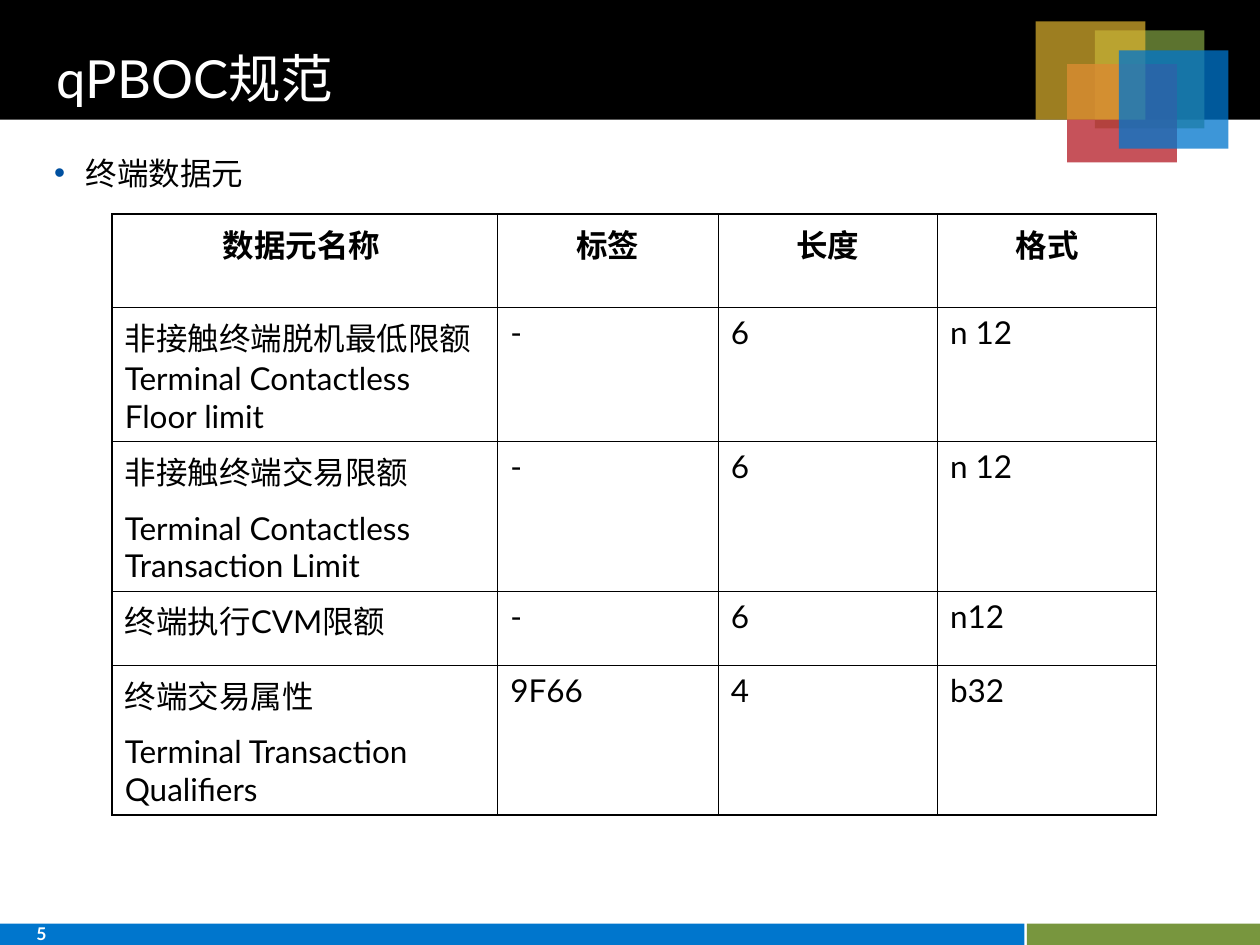
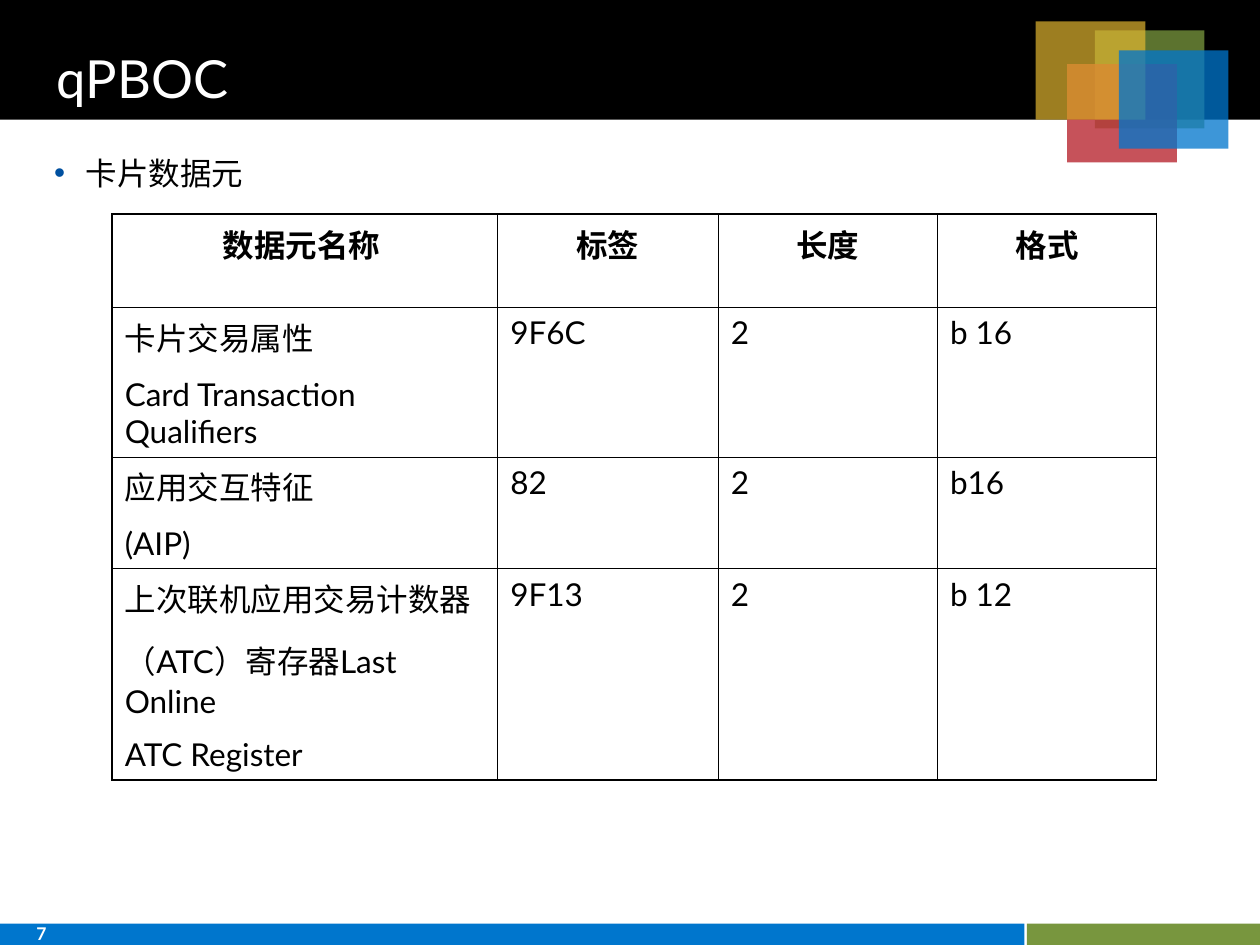
import pptx
import pptx.util
import pptx.dml.color
import pptx.enum.shapes
import pptx.enum.text
import pptx.oxml
import pptx.oxml.ns
import lxml.etree

Inches = pptx.util.Inches
Pt = pptx.util.Pt
ALIGN = pptx.enum.text.PP_ALIGN
FIT = pptx.enum.text.MSO_AUTO_SIZE
RECTANGLE = pptx.enum.shapes.MSO_SHAPE.RECTANGLE

COLOURS = {
    "black": "000000",
    "white": "FFFFFF",
    "blue": "0076CD",
    "green": "78963E",
    "red": "BA2A34",
    "gold": "E8BA31",
    "bullet": "0050A0",
}
FONT = "Lato"
TITLE_FONT = {"name": FONT, "size": Pt(30), "bold": False}
TEXT_FONT = {"name": FONT, "size": Pt(18), "bold": False}
HEADER_FONT = {**TEXT_FONT, "bold": True}
NUMBER_FONT = {"name": FONT, "size": Pt(10), "bold": True}
GAP = Pt(4.5)
THICK, THIN = 1.08, 0.45

BANDS = [
    ((0, 0, 10, 0.95), "black"),
    ((0, 7.33, 8.13, 0.17), "blue"),
    ((8.15, 7.33, 1.85, 0.17), "green"),
]
SQUARES = [
    (0.47, 0.07, "green", 77),
    (0.25, 0.34, "red", 81),
    (0, 0, "gold", 68),
    (0.66, 0.23, "blue", 76),
]
HEADINGS = ["数据元名称 ", "标签", "长度", "格式"]
COLUMN_WIDTHS = [3.06, 1.75, 1.74, 1.74]

TERMINAL_ROWS = [
    (1, ["非接触终端脱机最低限额Terminal Contactless Floor limit", "-", "6", "n 12"]),
    (1.13, ["非接触终端交易限额\nTerminal Contactless Transaction Limit", "-", "6", "n 12"]),
    (0.59, ["终端执行CVM限额", "-", "6", "n12"]),
    (1.13, ["终端交易属性\nTerminal Transaction Qualifiers", "9F66", "4", "b32"]),
]
CARD_ROWS = [
    (1.13, ["卡片交易属性\nCard Transaction Qualifiers", "9F6C", "2", "b 16"]),
    (0.83, ["应用交互特征\n(AIP)", "82", "2", "b16"]),
    (1.56, ["上次联机应用交易计数器\n（ATC）寄存器Last Online\nATC Register", "9F13", "2", "b 12"]),
]


def rgb(colour):
    return pptx.dml.color.RGBColor.from_string(COLOURS[colour])


def set_values(target, values):
    for name, value in values.items():
        setattr(target, name, value)


def place(shape, box):
    set_values(shape, dict(zip(("left", "top", "width", "height"), map(Inches, box))))


def add_child(parent, tag, **attributes):
    child = lxml.etree.SubElement(parent, pptx.oxml.ns.qn(tag))
    for name, value in attributes.items():
        child.set(name, str(value))
    return child


def style_text(para, font, colour, **layout):
    set_values(para, layout)
    for span in para.runs:
        set_values(span.font, font)
        span.font.color.rgb = rgb(colour)


def add_rectangle(shapes, box, colour, opacity=100):
    shape = shapes.add_shape(RECTANGLE, *map(Inches, box))
    shape.shadow.inherit = False
    shape.fill.solid()
    shape.fill.fore_color.rgb = rgb(colour)
    shape.line.fill.background()
    if opacity < 100:
        tint = shape.element.spPr.find(".//" + pptx.oxml.ns.qn("a:srgbClr"))
        add_child(tint, "a:alpha", val=opacity * 1000)


def add_squares(page, box):
    left, top, width, height = box
    group = page.shapes.add_group_shape()
    for across, down, colour, opacity in SQUARES:
        add_rectangle(group.shapes, (left + across, top + down, width, height), colour, opacity)


def add_page_number(page, box, number):
    text_box = page.shapes.add_textbox(*map(Inches, box))
    text_box.text_frame.word_wrap = True
    text_box.text_frame.text = str(number)
    style_text(text_box.text_frame.paragraphs[0], NUMBER_FONT, "white")


def add_frame(page, number):
    for box, colour in BANDS:
        add_rectangle(page.shapes, box, colour)
    add_squares(page, (8.22, 0.17, 0.87, 0.78))
    add_page_number(page, (0.19, 7.28, 0.83, 0.3), number)


def fill_placeholder(page, holder, box, text, **frame_values):
    page.shapes.element.append(holder.element)
    place(holder, box)
    holder.text_frame.text = text
    set_values(holder.text_frame, frame_values)
    return holder.text_frame.paragraphs[0]


def add_title(page, box, text):
    para = fill_placeholder(
        page, page.shapes.title, box, text,
        vertical_anchor=pptx.enum.text.MSO_ANCHOR.BOTTOM,
        auto_size=FIT.SHAPE_TO_FIT_TEXT,
    )
    style_text(para, TITLE_FONT, "white", alignment=ALIGN.LEFT, line_spacing=0.95)


def add_topic(page, box, text):
    para = fill_placeholder(page, page.placeholders[1], box, text, auto_size=FIT.NONE)
    properties = para._p.get_or_add_pPr()
    properties.set("marL", str(Inches(0.25)))
    properties.set("indent", str(-Inches(0.25)))
    add_child(add_child(properties, "a:buClr"), "a:srgbClr", val=COLOURS["bullet"])
    add_child(properties, "a:buChar", char="•")
    style_text(para, TEXT_FONT, "black", space_before=Pt(0), space_after=GAP)


def set_borders(cell, widths):
    properties = cell._tc.get_or_add_tcPr()
    for index, (side, width) in enumerate(widths.items()):
        line = add_child(properties, "a:ln" + side, w=Pt(width))
        add_child(add_child(line, "a:solidFill"), "a:srgbClr", val=COLOURS["black"])
        properties.insert(index, line)


def fill_cell(cell, text, font, alignment):
    cell.fill.background()
    cell.text_frame.text = text
    for index, para in enumerate(cell.text_frame.paragraphs):
        style_text(
            para, font, "black", alignment=alignment,
            space_before=GAP if index else Pt(0), space_after=GAP,
        )


def add_data_table(page, left, top, body_rows):
    rows = [(0.74, HEADINGS), *body_rows]
    size = (sum(COLUMN_WIDTHS), sum(height for height, texts in rows))
    box = map(Inches, (left, top, *size))
    table = page.shapes.add_table(len(rows), len(HEADINGS), *box).table
    set_values(table, {"first_row": False, "horz_banding": False})
    for column, width in zip(table.columns, COLUMN_WIDTHS):
        column.width = Inches(width)
    last_row, last_column = len(rows) - 1, len(HEADINGS) - 1
    for row, (height, texts) in enumerate(rows):
        table.rows[row].height = Inches(height)
        font, alignment = (TEXT_FONT, ALIGN.LEFT) if row else (HEADER_FONT, ALIGN.CENTER)
        for column, text in enumerate(texts):
            cell = table.cell(row, column)
            fill_cell(cell, text, font, alignment)
            outer = {
                "L": column == 0,
                "R": column == last_column,
                "T": row == 0,
                "B": row == last_row,
            }
            set_borders(cell, {side: THICK if edge else THIN for side, edge in outer.items()})


def add_data_page(deck, number, title, topic, rows):
    page = deck.slides.add_slide(deck.slide_layouts[1])
    add_frame(page, number)
    add_title(page, (0.35, 0.35, 7.86, 0.58), title)
    add_topic(page, (0.33, 1.17, 4.37, 0.83), topic)
    add_data_table(page, 0.89, 1.7, rows)


def main():
    deck = pptx.Presentation()
    set_values(deck, {"slide_width": Inches(10), "slide_height": Inches(7.5)})
    add_data_page(deck, 5, "qPBOC规范", "终端数据元", TERMINAL_ROWS)
    add_data_page(deck, 7, "qPBOC", "卡片数据元", CARD_ROWS)
    deck.save("out.pptx")


if __name__ == "__main__":
    main()
